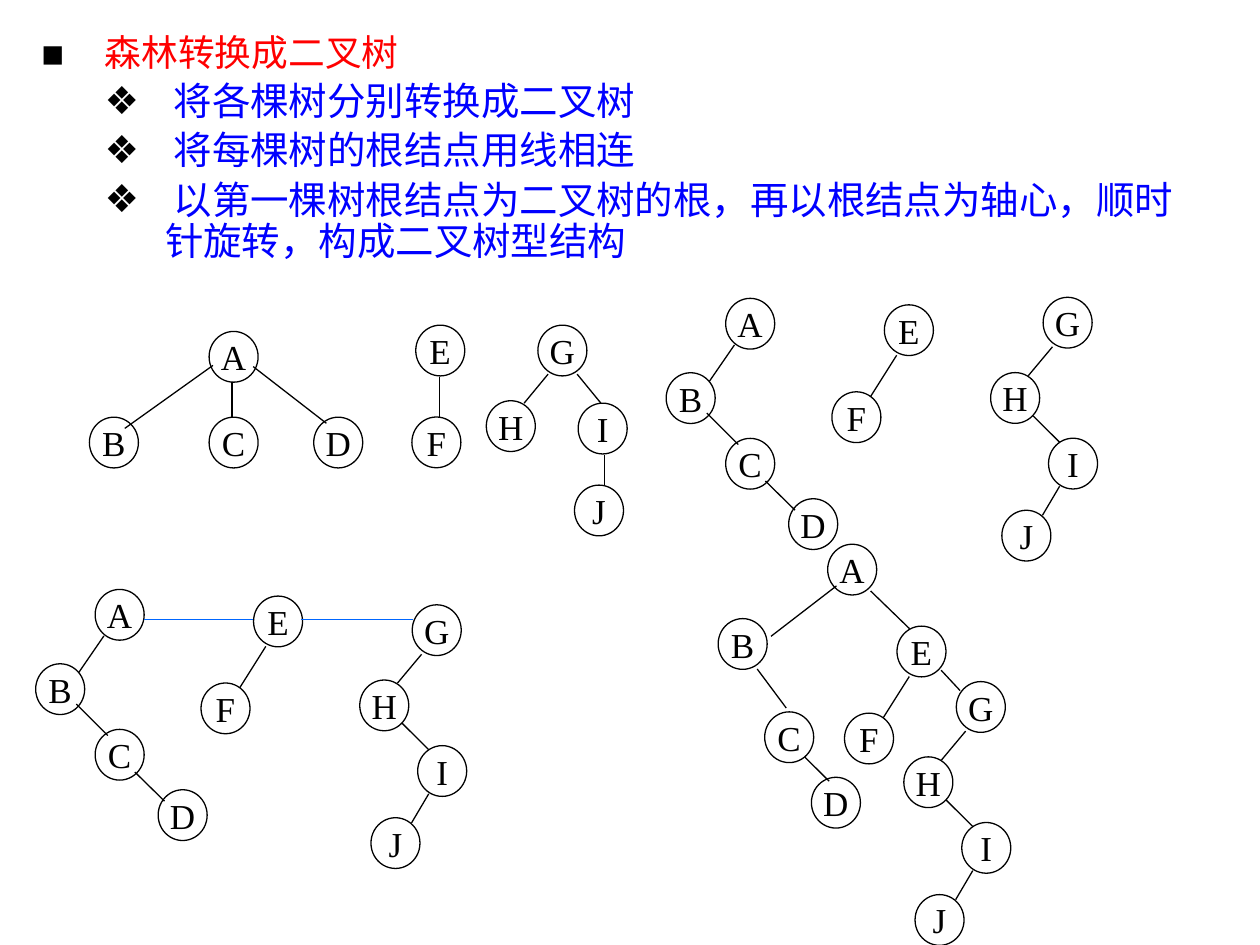
from dataclasses import dataclass

from lxml import etree
from pptx import Presentation
from pptx.dml.color import RGBColor
from pptx.enum.shapes import MSO_CONNECTOR, MSO_SHAPE
from pptx.enum.text import MSO_ANCHOR, PP_ALIGN
from pptx.oxml.ns import qn
from pptx.shapes.group import GroupShape
from pptx.slide import Slide
from pptx.text.text import _Paragraph
from pptx.util import Pt

STRAIGHT = MSO_CONNECTOR.STRAIGHT
OVAL = MSO_SHAPE.OVAL
MIDDLE = MSO_ANCHOR.MIDDLE
CENTER = PP_ALIGN.CENTER

COLORS = {
    "ink": "000000",
    "heading": "FF0000",
    "step": "0000FF",
    "link": "0066FF",
}
TEXT_FONT = "DejaVu Sans"
NODE_FONT = "Times New Roman"
NODE_WIDTH, NODE_HEIGHT = 28, 29
LINE_WIDTH = 0.75

Point = tuple[float, float]
Edge = tuple[float, float, float, float]


@dataclass(frozen=True)
class Tree:
    nodes: dict[str, Point]
    edges: tuple[Edge, ...]


@dataclass(frozen=True)
class Planted:
    tree: Tree
    left: float
    top: float


@dataclass(frozen=True)
class Forest:
    trees: tuple[Planted, ...]
    edges: tuple[Edge, ...] = ()
    edge_color: str = "ink"


@dataclass(frozen=True)
class Bullet:
    text: str
    level: int
    mark: str
    size: float
    color: str
    margin: float
    hanging: float


def step(text: str) -> Bullet:
    return Bullet(text, 1, "❖", 22, "step", 71.3, 34.6)


BULLETS = (
    Bullet("森林转换成二叉树", 0, "▪", 21, "heading", 36.7, 36.7),
    step(" 将各棵树分别转换成二叉树"),
    step(" 将每棵树的根结点用线相连"),
    step(" 以第一棵树根结点为二叉树的根，再以根结点为轴心，顺时针旋转，构成二叉树型结构"),
)

GENERAL_A = Tree(
    {"A": (0, 0), "B": (-68.4, 49), "C": (0, 49), "D": (59.8, 49)},
    ((13, 29, 13, 49.6), (2.2, 19.4, -48.2, 55.4), (25.2, 20.1, 67, 52.5)),
)
GENERAL_E = Tree({"E": (0, 0), "F": (-2.2, 52.5)}, ((13.7, 29.5, 13.7, 53.2),))
GENERAL_G = Tree(
    {"G": (0, 0), "H": (-29.5, 43.2), "I": (23, 44.6), "J": (20.9, 91.4)},
    ((5.8, 28, -7.9, 44.6), (22.4, 28, 36, 44.6), (38.2, 74.1, 38.2, 92.1)),
)
BINARY_A = Tree(
    {"A": (0, 0), "B": (-34, 42.5), "C": (0, 80), "D": (36, 114.5)},
    ((5, 26.6, -9.4, 47.5), (-10.8, 65.5, 7.2, 83.5), (22.7, 104.4, 39.6, 121)),
)
BINARY_E = Tree({"E": (0, 0), "F": (-30, 49.7)}, ((7, 28.8, -7.9, 52.4),))
BINARY_G = Tree(
    {"G": (0, 0), "H": (-30, 43), "I": (3.1, 80.5), "J": (-23.6, 121.7)},
    ((5.3, 28.3, -8.5, 44.8), (-5.8, 67.7, 9.4, 82.8), (9.4, 108, -0.4, 124.6)),
)
ROTATED_A = Tree(
    {"A": (0, 0), "B": (-62.6, 42.5), "C": (-36, 95.8), "D": (-9.3, 133.2)},
    ((-40.3, 71.3, -23.7, 93.6), (-13, 121.7, 0.8, 135.4), (5, 23.8, -32.4, 52.6)),
)

FORESTS = (
    Forest((
        Planted(GENERAL_A, 119.5, 189.4),
        Planted(GENERAL_E, 237.6, 185.8),
        Planted(GENERAL_G, 307.4, 185.8),
    )),
    Forest((
        Planted(BINARY_A, 414.7, 170.5),
        Planted(BINARY_E, 505.4, 174.2),
        Planted(BINARY_G, 596.1, 169.9),
    )),
    Forest(
        (
            Planted(BINARY_A, 54.4, 336.8),
            Planted(BINARY_E, 144.9, 340.6),
            Planted(BINARY_G, 235.6, 345.6),
        ),
        ((82.1, 354.2, 144.7, 354.2), (172.1, 354.2, 236.2, 354.2)),
        "link",
    ),
    Forest(
        (
            Planted(ROTATED_A, 473, 311),
            Planted(BINARY_E, 512.6, 357.8),
            Planted(BINARY_G, 546.5, 389.5),
        ),
        ((497.5, 337.7, 519.8, 359.3), (537.8, 383, 548.6, 394.6)),
    ),
)


def rgb(color: str) -> RGBColor:
    return RGBColor.from_string(COLORS[color])


def draw_node(group: GroupShape, letter: str, left: float, top: float) -> None:
    node = group.shapes.add_shape(
        OVAL, Pt(left), Pt(top), Pt(NODE_WIDTH), Pt(NODE_HEIGHT)
    )
    node.shadow.inherit = False
    node.fill.background()
    node.line.color.rgb = rgb("ink")
    node.line.width = Pt(LINE_WIDTH)
    frame = node.text_frame
    frame.text = letter
    frame.word_wrap = False
    frame.vertical_anchor = MIDDLE
    paragraph = frame.paragraphs[0]
    paragraph.alignment = CENTER
    font = paragraph.runs[0].font
    font.name = NODE_FONT
    font.size = Pt(20)
    font.color.rgb = rgb("ink")


def draw_edge(
    group: GroupShape, edge: Edge, color: str, left: float = 0, top: float = 0
) -> None:
    x1, y1, x2, y2 = edge
    branch = group.shapes.add_connector(
        STRAIGHT, Pt(left + x1), Pt(top + y1), Pt(left + x2), Pt(top + y2)
    )
    branch.line.color.rgb = rgb(color)
    branch.line.width = Pt(LINE_WIDTH)
    etree.SubElement(branch._element.spPr, qn("a:effectLst"))


def draw_forest(slide: Slide, forest: Forest) -> None:
    group = slide.shapes.add_group_shape()
    for planted in forest.trees:
        for letter, (x, y) in planted.tree.nodes.items():
            draw_node(group, letter, planted.left + x, planted.top + y)
        for edge in planted.tree.edges:
            draw_edge(group, edge, "ink", planted.left, planted.top)
    for edge in forest.edges:
        draw_edge(group, edge, forest.edge_color)


def write_bullet(paragraph: _Paragraph, bullet: Bullet, space_before: float) -> None:
    paragraph.text = bullet.text
    paragraph.level = bullet.level
    properties = paragraph._p.get_or_add_pPr()
    properties.set("marL", str(Pt(bullet.margin)))
    properties.set("indent", str(-Pt(bullet.hanging)))
    mark_color = etree.SubElement(properties, qn("a:buClr"))
    etree.SubElement(mark_color, qn("a:srgbClr"), val=COLORS["ink"])
    etree.SubElement(properties, qn("a:buFont"), typeface=TEXT_FONT)
    etree.SubElement(properties, qn("a:buChar"), char=bullet.mark)
    paragraph.line_spacing = 0.9
    paragraph.space_before = Pt(space_before)
    font = paragraph.runs[0].font
    font.name = TEXT_FONT
    font.size = Pt(bullet.size)
    font.color.rgb = rgb(bullet.color)


def main() -> None:
    deck = Presentation()
    deck.slide_width, deck.slide_height = Pt(720), Pt(540)
    slide = deck.slides.add_slide(deck.slide_layouts[6])
    steps = slide.shapes.add_textbox(Pt(16), Pt(16.5), Pt(669.6), Pt(144)).text_frame
    steps.word_wrap = True
    for index, bullet in enumerate(BULLETS):
        paragraph = steps.add_paragraph() if index else steps.paragraphs[0]
        write_bullet(paragraph, bullet, 4.4 if index else 0)
    for forest in FORESTS:
        draw_forest(slide, forest)
    deck.save("out.pptx")


if __name__ == "__main__":
    main()
